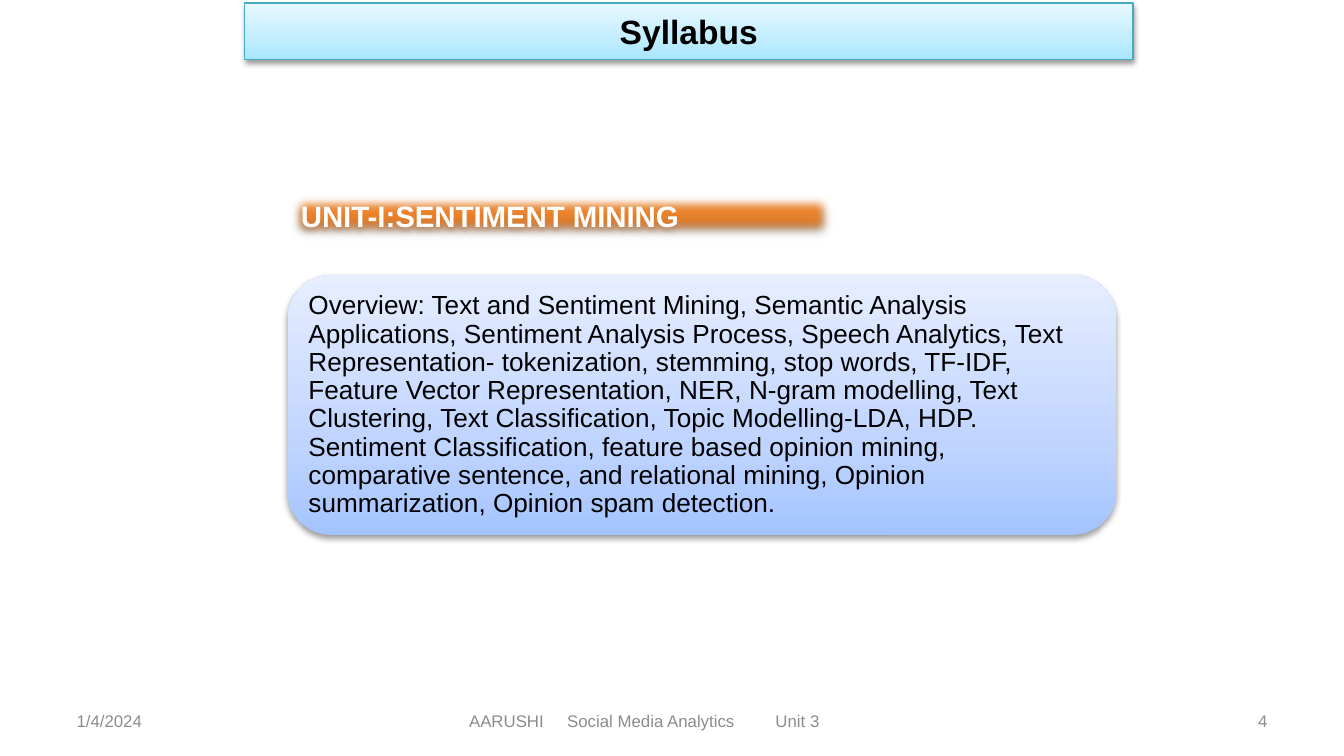
"""Build a syllabus slide with a title bar, a unit heading and a topic panel."""
import lxml.etree
import pptx
import pptx.dml.color
import pptx.enum.shapes
import pptx.enum.text
import pptx.oxml
import pptx.oxml.ns
import pptx.util

W = pptx.util.Inches(10)
H = W * 9 // 16
COL, ROW = W / 100, H / 100
NS = 'xmlns:a="http://schemas.openxmlformats.org/drawingml/2006/main"'
SHAPE = pptx.enum.shapes.MSO_SHAPE
ALIGN = pptx.enum.text.PP_ALIGN
ANCHOR = pptx.enum.text.MSO_ANCHOR


def rgb(value):
    return pptx.dml.color.RGBColor.from_string(value)


def write(sp, text, size, color, align, inset, bold=False):
    tf = sp.text_frame
    tf.word_wrap = True
    tf.vertical_anchor = ANCHOR.MIDDLE
    tf.margin_left = tf.margin_right = pptx.util.Inches(inset[0])
    tf.margin_top = tf.margin_bottom = pptx.util.Inches(inset[1])
    p = tf.paragraphs[0]
    p.alignment = align
    r = p.add_run()
    r.text = text
    r.font.name, r.font.size, r.font.bold = "Arial", pptx.util.Pt(size), bold
    r.font.color.rgb = rgb(color)
    return p


prs = pptx.Presentation()
prs.slide_width, prs.slide_height = W, H
s = prs.slides.add_slide(prs.slide_layouts[6])

footers = [
    (5, 23.33, "1/4/2024", ALIGN.LEFT),
    (26.5, 42.9, "AARUSHI\tSocial Media Analytics\tUnit 3", ALIGN.LEFT),
    (71.67, 23.33, "4", ALIGN.RIGHT),
]
for x, w, text, align in footers:
    sp = s.shapes.add_textbox(int(x * COL), int(92.7 * ROW), int(w * COL), int(5.3 * ROW))
    p = write(sp, text, 9, "8C8C8C", align, (0.07, 0.04))
    if "\t" in text:
        sp.text_frame.margin_left = pptx.util.Inches(0.84)
        pPr = p._p.get_or_add_pPr()
        tabs = lxml.etree.SubElement(pPr, pptx.oxml.ns.qn("a:tabLst"))
        for stop in (0.73, 2.28):
            tab = lxml.etree.SubElement(tabs, pptx.oxml.ns.qn("a:tab"))
            tab.set("pos", str(pptx.util.Inches(stop)))
            tab.set("algn", "l")

grp = s.shapes.add_group_shape()
panels = [
    (s, SHAPE.RECTANGLE, (18.2, 0.4, 66.1, 7.5),
     [(0, "A7E6FF"), (35, "C1EDFF"), (100, "E7F8FF")], 38, 1.6, ""),
    (grp, SHAPE.ROUNDED_RECTANGLE, (21.4, 36.4, 61.65, 34.35),
     [(0, "A4C4FF"), (35, "BFD4FF"), (100, "E6EEFF")], 38, 1.6, ""),
    (s, SHAPE.RECTANGLE, (21.4, 25.2, 40.8, 6.6),
     [(0, "C2691F"), (80, "FF9034"), (100, "FF9136")], 35, 1.8, '<a:softEdge rad="76200"/>'),
]
drawn = []
for parent, kind, (x, y, w, h), stops, alpha, dist, soft in panels:
    sp = parent.shapes.add_shape(kind, int(x * COL), int(y * ROW), int(w * COL), int(h * ROW))
    sp.line.fill.background()
    gs = "".join(f'<a:gs pos="{pos * 1000}"><a:srgbClr val="{c}"/></a:gs>' for pos, c in stops)
    fill = f'<a:gradFill {NS} rotWithShape="1"><a:gsLst>{gs}</a:gsLst><a:lin ang="16200000" scaled="0"/></a:gradFill>'
    effects = (
        f'<a:effectLst {NS}><a:outerShdw blurRad="{pptx.util.Pt(3.1)}" dist="{pptx.util.Pt(dist)}" '
        f'dir="5400000" rotWithShape="0"><a:srgbClr val="000000"><a:alpha val="{alpha * 1000}"/>'
        f'</a:srgbClr></a:outerShdw>{soft}</a:effectLst>'
    )
    spPr = sp._element.spPr
    spPr.find(pptx.oxml.ns.qn("a:prstGeom")).addnext(pptx.oxml.parse_xml(fill))
    spPr.append(pptx.oxml.parse_xml(effects))
    drawn.append(sp)

title, panel, heading = drawn
title.line.color.rgb = rgb("46AAC5")
title.line.width = pptx.util.Pt(0.75)
write(title, "Syllabus", 18, "000000", ALIGN.CENTER, (0.06, 0.03), True)
write(heading, "UNIT-I:SENTIMENT MINING", 15.75, "FFFFFF", ALIGN.JUSTIFY, (0.1, 0.05), True)

topics = (
    "Overview: Text and Sentiment Mining, Semantic Analysis Applications, "
    "Sentiment Analysis Process, Speech Analytics, Text Representation- tokenization, "
    "stemming, stop words, TF-IDF, Feature Vector Representation, NER, N-gram modelling, "
    "Text Clustering, Text Classification, Topic Modelling-LDA, HDP. "
    "Sentiment Classification, feature based opinion mining, comparative sentence, "
    "and relational mining, Opinion summarization, Opinion spam detection."
)
sp = grp.shapes.add_textbox(int(22.35 * COL), int(38.05 * ROW), int(59.8 * COL), int(31.1 * ROW))
p = write(sp, topics, 14, "000000", ALIGN.LEFT, (0.06, 0.06))
p.line_spacing = 0.9

prs.save("out.pptx")
